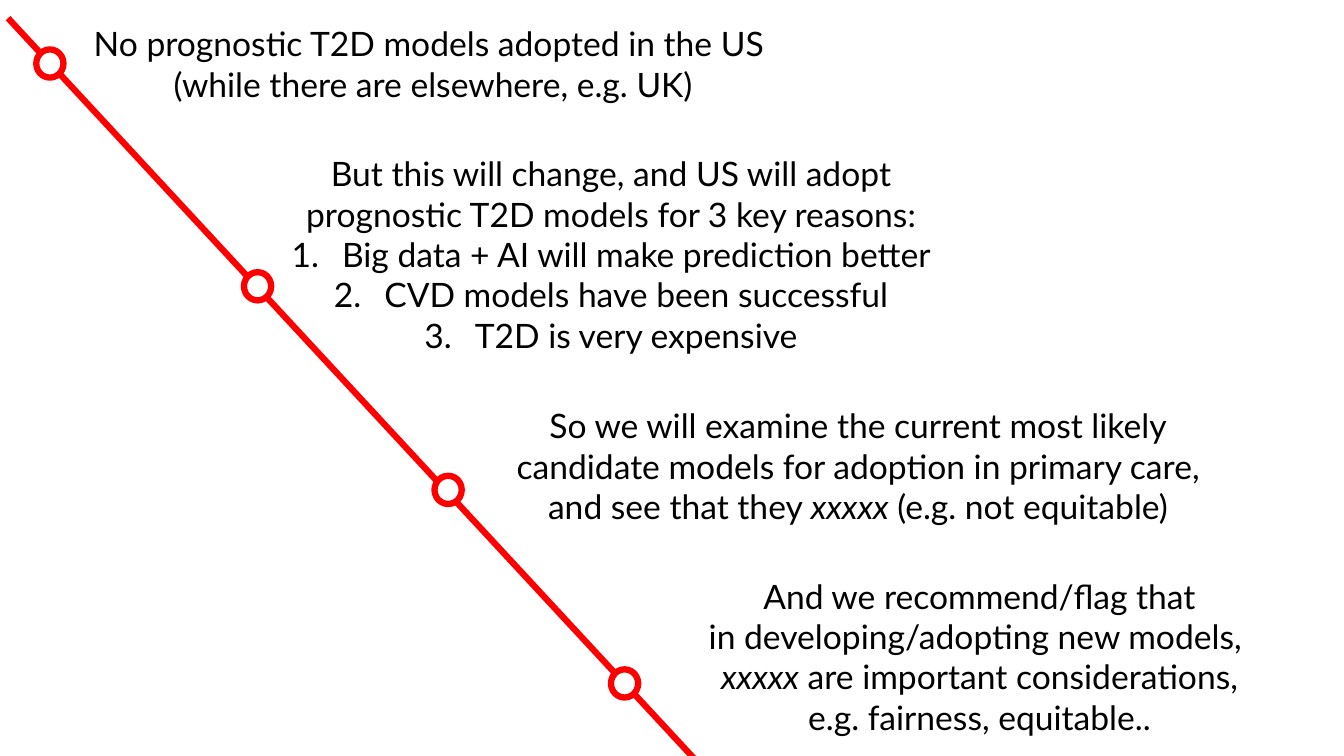
from dataclasses import dataclass

from lxml import etree
from pptx import Presentation
from pptx.dml.color import RGBColor
from pptx.enum.shapes import MSO_CONNECTOR, MSO_SHAPE
from pptx.enum.text import MSO_AUTO_SIZE, PP_ALIGN
from pptx.oxml.ns import qn
from pptx.util import Emu, Pt

RED = RGBColor(0xFF, 0x00, 0x00)
WHITE = RGBColor(0xFF, 0xFF, 0xFF)
BLACK = RGBColor(0x00, 0x00, 0x00)
STRAIGHT = MSO_CONNECTOR.STRAIGHT
OVAL = MSO_SHAPE.OVAL
CENTER = PP_ALIGN.CENTER
FIT = MSO_AUTO_SIZE.SHAPE_TO_FIT_TEXT

FONT = "Lato"
LINE_WIDTH = Pt(4.5)
NUMBER_INDENT = 50


@dataclass(frozen=True)
class Step:
    """One stop on the timeline; *stars* mark italics, # marks a numbered item."""
    dot: tuple[int, int]
    box: tuple[int, int, int, int]
    paragraphs: tuple[str, ...]


STEPS = (
    Step((36, 49), (75, 18, 709, 91), (
        "No prognostic T2D models adopted in the US \n(while there are elsewhere, e.g. UK)",
    )),
    Step((242, 270), (270, 147, 672, 212), (
        "But this will change, and US will adopt\nprognostic T2D models for 3 key reasons:",
        "#Big data + AI will make prediction better",
        "#CVD models have been successful",
        "#T2D is very expensive",
    )),
    Step((431, 472), (492, 397, 718, 131), (
        "So we will examine the current most likely",
        "candidate models for adoption in primary care,",
        "and see that they *xxxxx* (e.g. not equitable)",
    )),
    Step((606, 664), (683, 566, 577, 172), (
        "And we recommend/flag that\nin developing/adopting new models, ",
        "*xxxxx* are important considerations,",
        "e.g. fairness, equitable..",
    )),
)


def px(n: int) -> Emu:
    """Convert px to EMU at 100 px to the inch."""
    return Emu(n * 9144)


def number_paragraph(p) -> None:
    """Give a paragraph an automatic number and a hanging indent."""
    pPr = p._p.get_or_add_pPr()
    pPr.set("marL", str(px(NUMBER_INDENT)))
    pPr.set("indent", str(px(-NUMBER_INDENT)))
    etree.SubElement(pPr, qn("a:buAutoNum"), type="arabicPeriod")


def write(p, text: str, *, size: int = 24, color: RGBColor = BLACK) -> None:
    """Fill a centred paragraph with runs, italics and line breaks."""
    p.alignment = CENTER
    if text.startswith("#"):
        number_paragraph(p)
        text = text[1:]
    for i, line in enumerate(text.split("\n")):
        if i:
            p.add_line_break()
        for j, part in enumerate(line.split("*")):
            if part:
                r = p.add_run()
                r.text = part
                r.font.name = FONT
                r.font.size = Pt(size)
                r.font.italic = j % 2 == 1
                r.font.color.rgb = color


def add_text(s, step: Step) -> None:
    tf = s.shapes.add_textbox(*map(px, step.box)).text_frame
    tf.word_wrap = False
    tf.auto_size = FIT
    for i, text in enumerate(step.paragraphs):
        write(tf.add_paragraph() if i else tf.paragraphs[0], text)


def add_dot(s, step: Step) -> None:
    sp = s.shapes.add_shape(OVAL, *map(px, (*step.dot, 27, 28)))
    sp.shadow.inherit = False
    sp.fill.solid()
    sp.fill.fore_color.rgb = WHITE
    sp.line.color.rgb = RED
    sp.line.width = LINE_WIDTH


def add_timeline(s) -> None:
    line = s.shapes.add_connector(STRAIGHT, px(8), px(18), px(788), px(860))
    line.line.color.rgb = RED
    line.line.width = LINE_WIDTH
    etree.SubElement(line._element.spPr, qn("a:effectLst"))


def main() -> None:
    prs = Presentation()
    prs.slide_width, prs.slide_height = px(1333), px(750)
    s = prs.slides.add_slide(prs.slide_layouts[6])
    s.background.fill.solid()
    s.background.fill.fore_color.rgb = WHITE

    # Diagonal timeline
    add_timeline(s)

    # Stops and their messages
    for step in STEPS:
        add_text(s, step)
        add_dot(s, step)

    prs.save("out.pptx")


if __name__ == "__main__":
    main()
